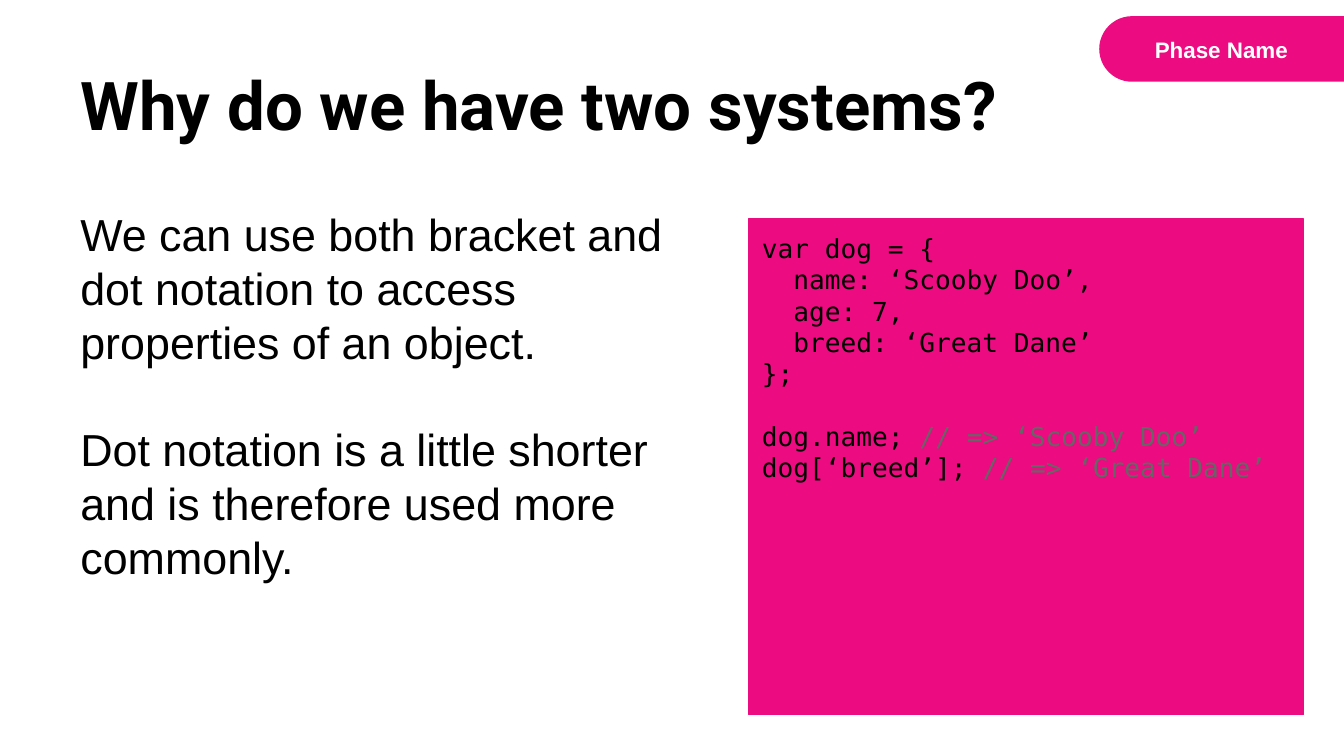
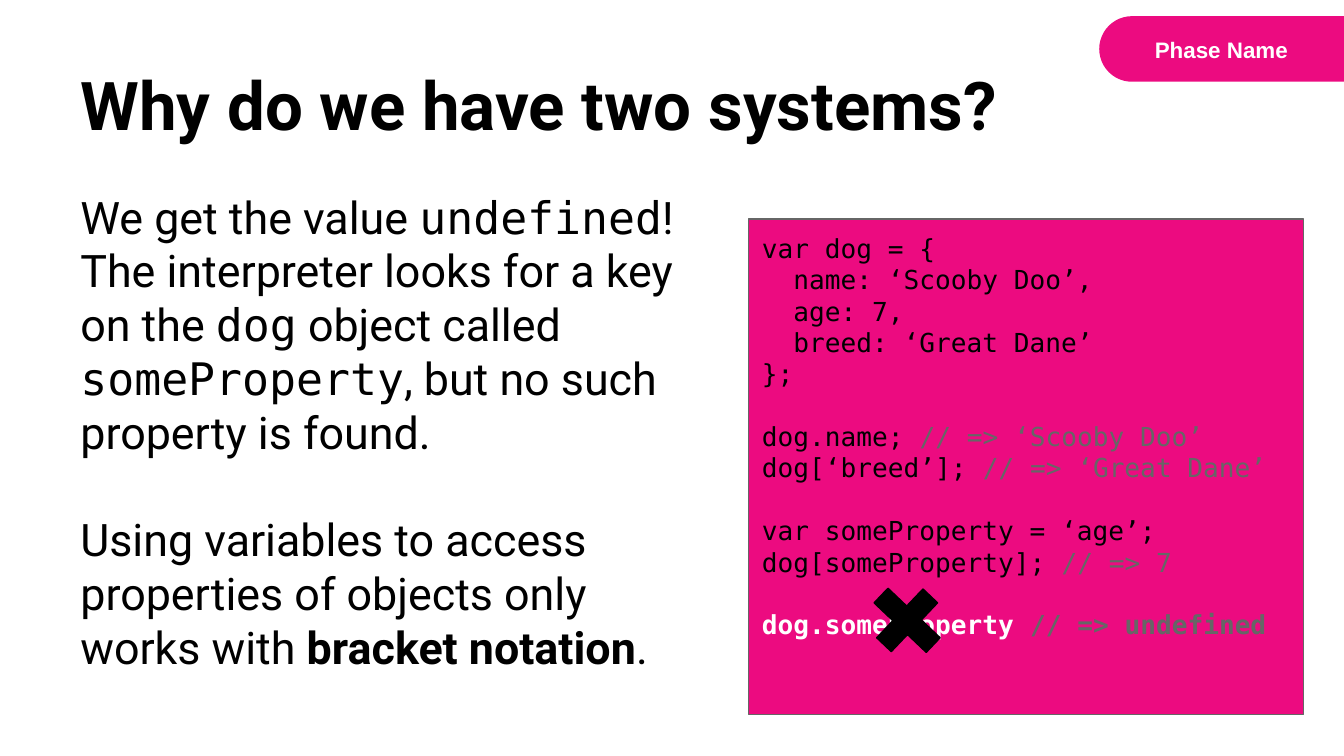
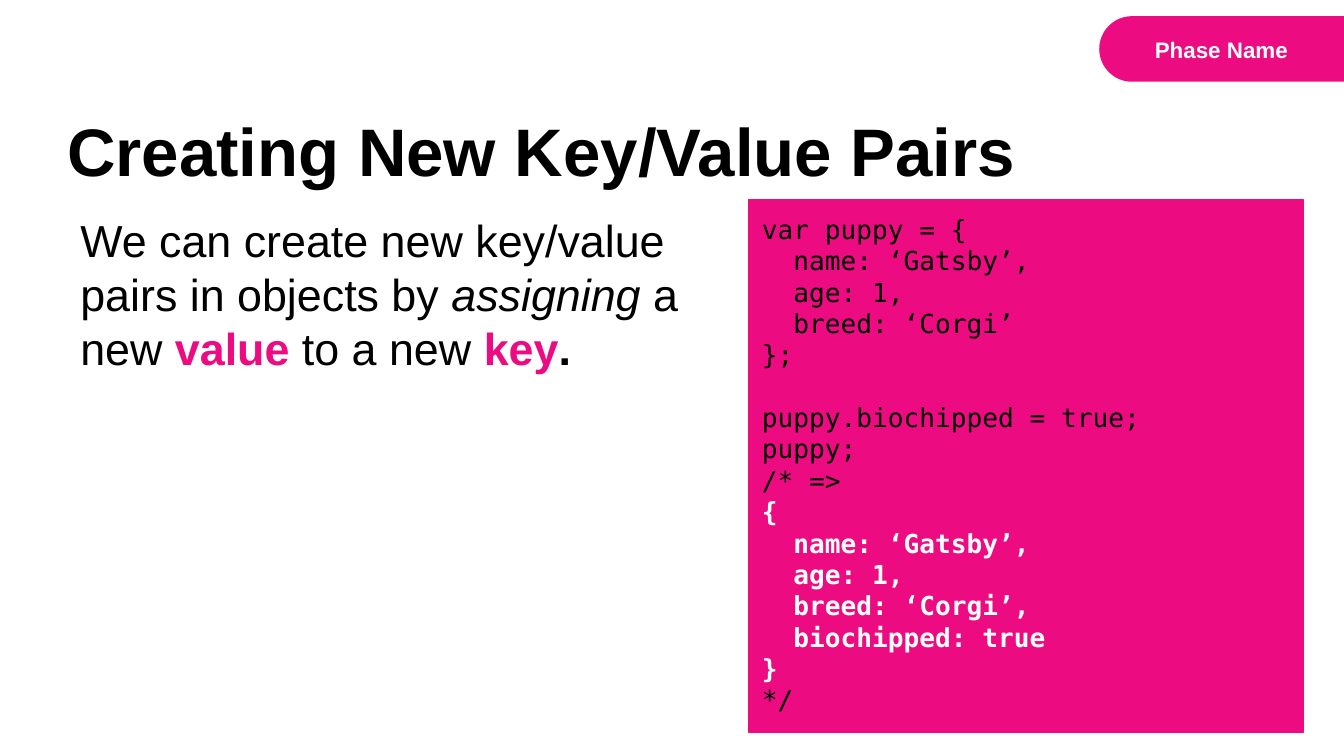
from pptx import Presentation
from pptx.dml.color import RGBColor
from pptx.enum.shapes import MSO_SHAPE as Kind
from pptx.enum.text import MSO_ANCHOR as Anchor, PP_ALIGN as Align
from pptx.util import Cm, Pt

rgb = RGBColor.from_string
PINK, BLACK, WHITE, GREY = "EC0B80", "000000", "FFFFFF", "666666"
SANS, HEAD, MONO = "Arial", "Roboto", "DejaVu Sans Mono"
GAP = None  # an open line between paragraphs

# Run styles
note = {"color": GREY}
loud = {"color": WHITE, "bold": True}
key = {"color": PINK, "bold": True}
bold = {"bold": True}
mono = {"name": MONO}


def write(shape, lines, size, face, color=BLACK, strong=False, align=Align.LEFT):
    """Fill a shape with lines; a line is a string or a list of (text, style)."""
    frame = shape.text_frame
    frame.word_wrap = True
    frame.vertical_anchor = Anchor.TOP
    frame.margin_left = frame.margin_right = Cm(0.25)
    frame.margin_top = frame.margin_bottom = Cm(0.25)
    para, gap = frame.paragraphs[0], False
    for i, line in enumerate(lines):
        if line is GAP:
            gap = True
            continue
        if i:
            para = frame.add_paragraph()
        para.alignment = align
        para.line_spacing = Pt(1.2 * size)
        if gap:
            para.space_before = Pt(1.2 * size)
            gap = False
        para.font.size, para.font.name = Pt(size), face
        para.font.bold = strong
        para.font.color.rgb = rgb(color)
        for text, style in [(line, {})] if isinstance(line, str) else line:
            run = para.add_run()
            run.text = text
            for name, value in style.items():
                if name == "color":
                    run.font.color.rgb = rgb(value)
                else:
                    setattr(run.font, name, value)


def draw(slide, kind, box, fill, line=None):
    """Add a flat preset shape."""
    shape = slide.shapes.add_shape(kind, *map(Cm, box))
    shape.shadow.inherit = False
    shape.fill.solid()
    shape.fill.fore_color.rgb = rgb(fill)
    if line:
        shape.line.color.rgb = rgb(line)
        shape.line.width = Pt(0.75)
    else:
        shape.line.fill.background()
    return shape


# Code listings
dog = [
    "var dog = {",
    "  name: ‘Scooby Doo’,",
    "  age: 7,",
    "  breed: ‘Great Dane’",
    "};",
    GAP,
    [("dog.name; ", {}), ("// => ‘Scooby Doo’", note)],
    [("dog[‘breed’]; ", {}), ("// => ‘Great Dane’", note)],
]
more = [
    GAP,
    "var someProperty = ‘age’;",
    [("dog[someProperty]; ", {}), ("// => 7", note)],
    GAP,
    [("dog.someProperty", loud), (" // => undefined", {"color": GREY, "bold": True})],
]
result = ["{", "  name: ‘Gatsby’,", "  age: 1,", "  breed: ‘Corgi’,",
          "  biochipped: true", "}"]
puppy = [
    "var puppy = {",
    "  name: ‘Gatsby’,",
    "  age: 1,",
    "  breed: ‘Corgi’",
    "};",
    GAP,
    "puppy.biochipped = true;",
    "puppy;",
    "/* =>",
    *[[(row, loud)] for row in result],
    "*/",
]

# Slide contents: title, its place and font; body, its place and font; code, its place and edge
pages = [
    ("Why do we have two systems?", (1.27, 0.58), HEAD,
     ["We can use both bracket and dot notation to access properties of an object.",
      GAP,
      "Dot notation is a little shorter and is therefore used more commonly."],
     (3.66, 11.71), SANS,
     dog, (4.14, 9.37), PINK),
    ("Why do we have two systems?", (1.27, 0.58), HEAD,
     [[("We get the value ", {}), ("undefined", mono),
       ("! The interpreter looks for a key on the ", {}), ("dog", mono),
       (" object called ", {}), ("someProperty", mono),
       (", but no such property is found.", {})],
      GAP,
      [("Using variables to access properties of objects only works with ", {}),
       ("bracket notation", bold), (".", {})]],
     (3.33, 12.27), HEAD,
     dog + more, (4.14, 9.37), GREY),
    ("Creating New Key/Value Pairs", (1.02, 1.45), SANS,
     [[("We can create new key/value pairs in objects by ", {}),
       ("assigning ", {"italic": True}), ("a new ", {}), ("value ", key),
       ("to a new ", {}), ("key", key), (".", bold)]],
     (3.78, 12.27), SANS,
     puppy, (3.78, 10.06), PINK),
]

deck = Presentation()
deck.slide_width, deck.slide_height = Cm(25.4), Cm(14.29)

for title, spot, face, body, (top, wide), font, code, (high, tall), edge in pages:
    slide = deck.slides.add_slide(deck.slide_layouts[6])
    add = slide.shapes.add_textbox

    # Phase tab
    tab = draw(slide, Kind.ROUND_2_SAME_RECTANGLE, (22.48, -1.4, 1.24, 4.65), PINK)
    tab.adjustments[0], tab.adjustments[1] = 0.5, 0
    tab.rotation = 270
    label = add(Cm(20.9), Cm(0.43), Cm(4.37), Cm(1.02))
    write(label, ["Phase Name"], 12, SANS, WHITE, True, Align.CENTER)

    # Title
    head = add(*map(Cm, spot), Cm(22.86), Cm(2.39))
    write(head, [title], 36, face, strong=True)
    head.text_frame.vertical_anchor = Anchor.BOTTOM

    # Body and code panel
    write(add(Cm(1.27), Cm(top), Cm(wide), Cm(10.34)), body, 24, font)
    panel = draw(slide, Kind.RECTANGLE, (14.15, high, 10.49, tall), PINK, edge)
    write(panel, code, 14, MONO)

# Cross over the wrong lookup
cross = draw(deck.slides[1], Kind.MATH_PLUS, (16.28, 10.8, 1.73, 1.85), BLACK, BLACK)
cross.adjustments[0] = 0.22
cross.rotation = 313.5

deck.save("out.pptx")
